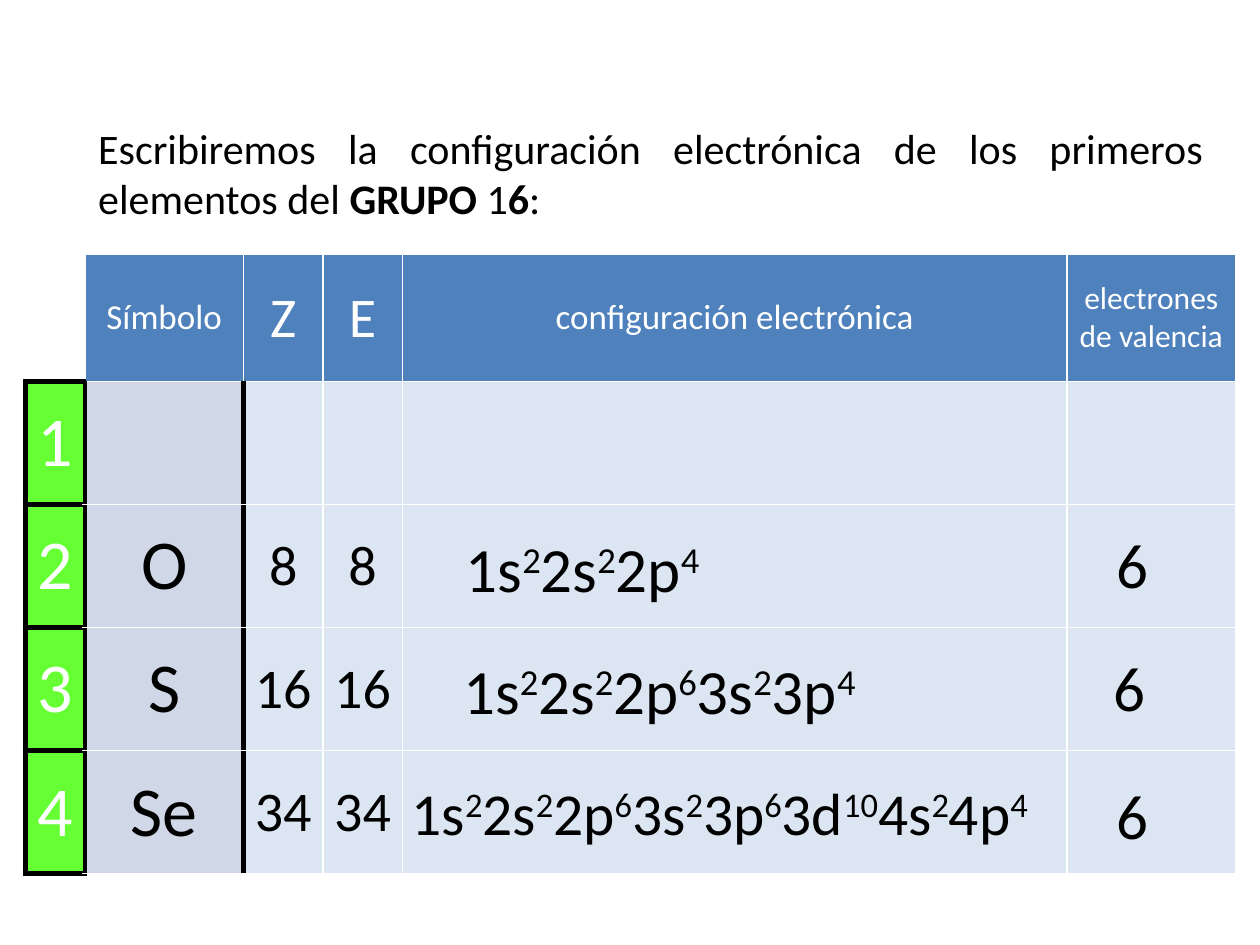
from lxml import etree
from pptx import Presentation
from pptx import util as u
from pptx.dml.color import RGBColor
from pptx.enum import text
from pptx.oxml.ns import qn

COLORS = {
    "white": "FFFFFF", "black": "000000", "header": "4F81BD",
    "period": "66FF33", "symbol": "D0D8E8", "body": "DCE6F2",
}
ALIGN = text.PP_ALIGN


class SlideBuilder:
    font_name = "Calibri"

    def __init__(self, slide):
        self.slide = slide

    def style(self, paragraph, size, color="black", align=ALIGN.LEFT):
        paragraph.alignment = align
        paragraph.font.name = self.font_name
        paragraph.font.size = u.Pt(size)
        paragraph.font.color.rgb = RGBColor.from_string(COLORS[color])

    def text_box(self, left, top, width, height, size, align=ALIGN.LEFT):
        """Add a styled text box and return its first paragraph."""
        box = self.slide.shapes.add_textbox(
            u.Cm(left), u.Cm(top), u.Cm(width), u.Cm(height))
        box.text_frame.word_wrap = True
        box.text_frame.auto_size = text.MSO_AUTO_SIZE.SHAPE_TO_FIT_TEXT
        paragraph = box.text_frame.paragraphs[0]
        self.style(paragraph, size, align=align)
        return paragraph

    def configuration(self, left, top, width, height, size, orbitals):
        """Write orbitals such as 2p4 with the electron count raised."""
        paragraph = self.text_box(left, top, width, height, size)
        for orbital in orbitals.split():
            paragraph.add_run().text = orbital[:2]
            count = paragraph.add_run()
            count.text = orbital[2:]
            count.font._element.set("baseline", "30000")

    def table(self, left, top, widths, heights):
        grid = self.slide.shapes.add_table(
            len(heights), len(widths), u.Cm(left), u.Cm(top),
            u.Cm(sum(widths)), u.Cm(sum(heights))).table
        grid.first_row = grid.horz_banding = False
        for column, width in zip(grid.columns, widths):
            column.width = u.Cm(width)
        for row, height in zip(grid.rows, heights):
            row.height = u.Cm(height)
        return grid

    def cell(self, cell, content, size, color, fill, heavy=""):
        """Fill a cell; sides named in heavy get a thick black border."""
        cell.vertical_anchor = text.MSO_ANCHOR.MIDDLE
        cell.margin_left = cell.margin_right = u.Cm(0.18)
        cell.margin_top = cell.margin_bottom = 0
        for side in "LRTB":
            line_color, points = ("black", 3) if side in heavy else ("white", 1)
            line = etree.SubElement(cell._tc.get_or_add_tcPr(), qn(f"a:ln{side}"),
                                    w=str(u.Pt(points)))
            solid = etree.SubElement(line, qn("a:solidFill"))
            etree.SubElement(solid, qn("a:srgbClr"), val=COLORS[line_color])
        cell.fill.solid()
        cell.fill.fore_color.rgb = RGBColor.from_string(COLORS[fill])
        cell.text = content
        self.style(cell.text_frame.paragraphs[0], size, color, ALIGN.CENTER)


def main():
    prs = Presentation()
    prs.slide_width, prs.slide_height = u.Cm(25.4), u.Cm(19.05)
    builder = SlideBuilder(prs.slides.add_slide(prs.slide_layouts[6]))

    # Table of elements
    grid = builder.table(0.51, 5.13, [1.2, 3.2, 1.6, 1.6, 13.4, 3.4],
                         [2.56] + [2.48] * 4)

    # Header row
    headers = [("", 20), ("Símbolo", 20), ("Z", 32), ("E", 32),
               ("configuración electrónica", 20), ("electrones de valencia", 18)]
    for column, (label, size) in enumerate(headers):
        fill, heavy = ("header", "") if column else ("white", "B")
        builder.cell(grid.cell(0, column), label, size, "white", fill, heavy)

    # Period, symbol, Z, E; the last two columns are written over the table
    column_styles = [(40, "white", "period", "LRTB"), (40, "black", "symbol", "LR"),
                     (32, "black", "body", "L")] + [(32, "black", "body", "")] * 3
    elements = [("", ""), ("O", "8"), ("S", "16"), ("Se", "34")]
    for period, (symbol, number) in enumerate(elements, 1):
        values = [str(period), symbol, number, number, "", ""]
        for column, (value, look) in enumerate(zip(values, column_styles)):
            builder.cell(grid.cell(period, column), value, *look)

    # Electron configurations
    builder.configuration(9.14, 10.54, 7.4, 1.8, 36, "1s2 2s2 2p4")
    builder.configuration(9.09, 13, 11.2, 1.8, 36, "1s2 2s2 2p6 3s2 3p4")
    builder.configuration(8.05, 15.52, 14.66, 1.7, 34,
                          "1s2 2s2 2p6 3s2 3p6 3d10 4s2 4p4")

    # Valence electrons
    for left, top in [(22.25, 10.46), (22.2, 12.95), (22.25, 15.52)]:
        builder.text_box(left, top, 1.47, 1.8, 36).add_run().text = "6"

    # Introduction
    intro = builder.text_box(1.73, 2.34, 22.78, 2.31, 24, ALIGN.JUSTIFY)
    for words, bold in [
            ("Escribiremos la configuración electrónica de los primeros "
             "elementos del ", False),
            ("GRUPO ", True), ("1", False), ("6", True), (":", False)]:
        run = intro.add_run()
        run.text = words
        run.font.bold = bold

    prs.save("out.pptx")


if __name__ == "__main__":
    main()
